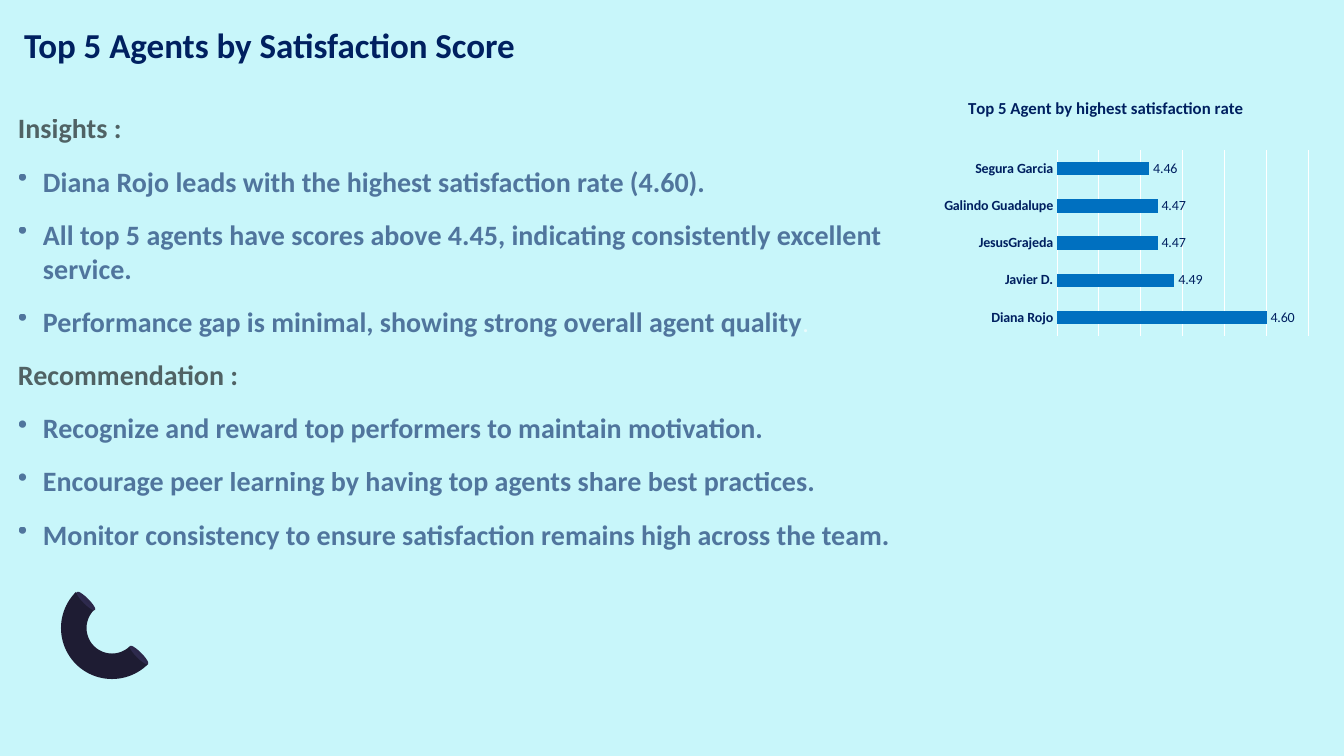
import lxml.etree
import pptx
import pptx.chart.data
import pptx.dml.color
import pptx.enum.chart
import pptx.enum.shapes
import pptx.enum.text
import pptx.oxml
import pptx.oxml.ns
import pptx.util

WIDE, HIGH = 1344, 756
SCALE = 12192000 / WIDE
COLORS = {"back": "C8F6FA", "navy": "002060", "black": "000000", "white": "FFFFFF",
          "bar": "0070C0", "ring": "1B192E", "cap": "2C284A", "gloss": "7771B2"}
FONT = "Calibri"
POINTS = {
    "Insights :": [
        "Diana Rojo leads with the highest satisfaction rate (4.60).",
        "All top 5 agents have scores above 4.45, indicating consistently excellent service.",
        "Performance gap is minimal, showing strong overall agent quality.",
    ],
    "Recommendation :": [
        "Recognize and reward top performers to maintain motivation.",
        "Encourage peer learning by having top agents share best practices.",
        "Monitor consistency to ensure satisfaction remains high across the team.",
    ],
}
SCORES = {"Diana Rojo": 4.6, "Javier D.": 4.49, "JesusGrajeda": 4.47,
          "Galindo Guadalupe": 4.47, "Segura Garcia": 4.46}


def px(*nums):
    return [pptx.util.Emu(round(n * SCALE)) for n in nums]


def tint(name):
    return pptx.dml.color.RGBColor.from_string(COLORS[name])


def fade(node, part):
    """Make every colour under the node partly opaque."""
    for color in node.iter(pptx.oxml.ns.qn("a:srgbClr")):
        alpha = lxml.etree.SubElement(color, pptx.oxml.ns.qn("a:alpha"))
        alpha.set("val", str(part * 1000))


def style(font, size, color, bold=False, face=FONT):
    font.name, font.size, font.bold = face, pptx.util.Pt(size), bold
    font.color.rgb = tint(color)


def clear(frame):
    frame.margin_left = frame.margin_top = frame.margin_right = frame.margin_bottom = 0
    frame.vertical_anchor = pptx.enum.text.MSO_ANCHOR.TOP
    frame.auto_size = pptx.enum.text.MSO_AUTO_SIZE.NONE
    frame.word_wrap = True


def head(slide, x, y, w, h):
    title = slide.shapes.title
    title.left, title.top, title.width, title.height = px(x, y, w, h)
    clear(title.text_frame)
    title.text_frame.text = "Top 5 Agents by Satisfaction Score"
    para = title.text_frame.paragraphs[0]
    para.alignment = pptx.enum.text.PP_ALIGN.LEFT
    style(para.font, 25, "navy", True)


def notch(para):
    """Give the paragraph a hanging bullet."""
    props = para._p.get_or_add_pPr()
    indent = px(25)[0]
    props.set("marL", str(indent))
    props.set("indent", str(-indent))
    mark = lxml.etree.Element(pptx.oxml.ns.qn("a:buChar"), char="•")
    props.insert_element_before(mark, "a:tabLst", "a:defRPr", "a:extLst")


def body(slide, x, y, w, h):
    frame = slide.shapes.add_textbox(*px(x, y, w, h)).text_frame
    clear(frame)
    lines = [(text, text in POINTS) for top, items in POINTS.items() for text in [top, *items]]
    for spot, (text, is_top) in enumerate(lines):
        para = frame.add_paragraph() if spot else frame.paragraphs[0]
        para.space_before, para.space_after = pptx.util.Pt(6), pptx.util.Pt(8)
        if not is_top:
            notch(para)
        style(para.font, 20, "black" if is_top else "navy", True)
        if text.endswith("quality."):
            # The full stop is pale and in its own font
            para.add_run().text = text[:-1]
            stop = para.add_run()
            stop.text = "."
            style(stop.font, 20, "white", face="Roboto")
        else:
            para.add_run().text = text
    fade(frame._txBody, 60)


def graph(slide, x, y, w, h):
    data = pptx.chart.data.CategoryChartData(number_format="0.00")
    data.categories = list(SCORES)
    data.add_series("Series 1", list(SCORES.values()))
    kind = pptx.enum.chart.XL_CHART_TYPE.BAR_CLUSTERED
    chart = slide.shapes.add_chart(kind, *px(x, y, w, h), data).chart
    style(chart.font, 10, "white", face="Roboto")
    chart.has_legend = False

    # Title
    chart.has_title = True
    frame = chart.chart_title.text_frame
    frame.text = "Top 5 Agent by highest satisfaction rate"
    style(frame.paragraphs[0].font, 12, "navy", True)

    # Axes
    cats, vals = chart.category_axis, chart.value_axis
    cats.major_tick_mark = pptx.enum.chart.XL_TICK_MARK.NONE
    style(cats.tick_labels.font, 10, "navy", True)
    vals.visible = False
    vals.minimum_scale, vals.maximum_scale, vals.major_unit = 4.35, 4.65, 0.05
    vals.has_major_gridlines = True
    for line in (cats.format.line, vals.major_gridlines.format.line):
        line.color.rgb, line.width = tint("white"), pptx.util.Pt(0.75)

    # Bars and labels
    plot = chart.plots[0]
    plot.gap_width, plot.vary_by_categories = 182, False
    fill = plot.series[0].format.fill
    fill.solid()
    fill.fore_color.rgb = tint("bar")
    plot.has_data_labels = True
    labels = plot.data_labels
    labels.show_value = True
    labels.position = pptx.enum.chart.XL_LABEL_POSITION.OUTSIDE_END
    labels.number_format, labels.number_format_is_linked = "0.00", False
    style(labels.font, 10, "navy")

    # Fixed plot area
    qn = pptx.oxml.ns.qn
    area = chart._chartSpace.find(".//" + qn("c:plotArea"))
    for old in area.findall(qn("c:layout")):
        area.remove(old)
    layout = lxml.etree.Element(qn("c:layout"))
    manual = lxml.etree.SubElement(layout, qn("c:manualLayout"))
    for tag, val in (("layoutTarget", "inner"), ("xMode", "edge"), ("yMode", "edge"),
                     ("x", "0.38"), ("y", "0.24"), ("w", "0.62"), ("h", "0.66")):
        lxml.etree.SubElement(manual, qn("c:" + tag), val=val)
    area.insert(0, layout)


def paint(group, kind, box, turn, color):
    shape = group.shapes.add_shape(kind, *px(*box))
    shape.shadow.inherit = False
    shape.rotation = turn
    shape.fill.solid()
    shape.fill.fore_color.rgb = tint(color)
    shape.line.fill.background()
    return shape


def tube(slide, x, y, size):
    """Half ring, open to the upper right, with an oval cap on each end."""
    kinds = pptx.enum.shapes.MSO_SHAPE
    group = slide.shapes.add_group_shape()
    paint(group, kinds.BLOCK_ARC, (x, y, size, size), 225, "ring")
    thick, long = 6, 26
    for mid_x, mid_y in ((78, 78), (25, 24)):
        box = (x + mid_x - thick / 2, y + mid_y - long / 2, thick, long)
        paint(group, kinds.OVAL, box, 135, "cap")
    gloss = paint(group, kinds.BLOCK_ARC, (x, y, size, size), 225, "gloss")
    fade(gloss._element.spPr, 4)


def main():
    deck = pptx.Presentation()
    deck.slide_width, deck.slide_height = px(WIDE, HIGH)
    slide = deck.slides.add_slide(deck.slide_layouts[5])
    slide.background.fill.solid()
    slide.background.fill.fore_color.rgb = tint("back")
    tube(slide, 61, 577, 102)
    head(slide, 24, 23, 1261, 86)
    body(slide, 18, 111, 873, 594)
    graph(slide, 903, 83, 406, 281)
    deck.save("out.pptx")


if __name__ == "__main__":
    main()
